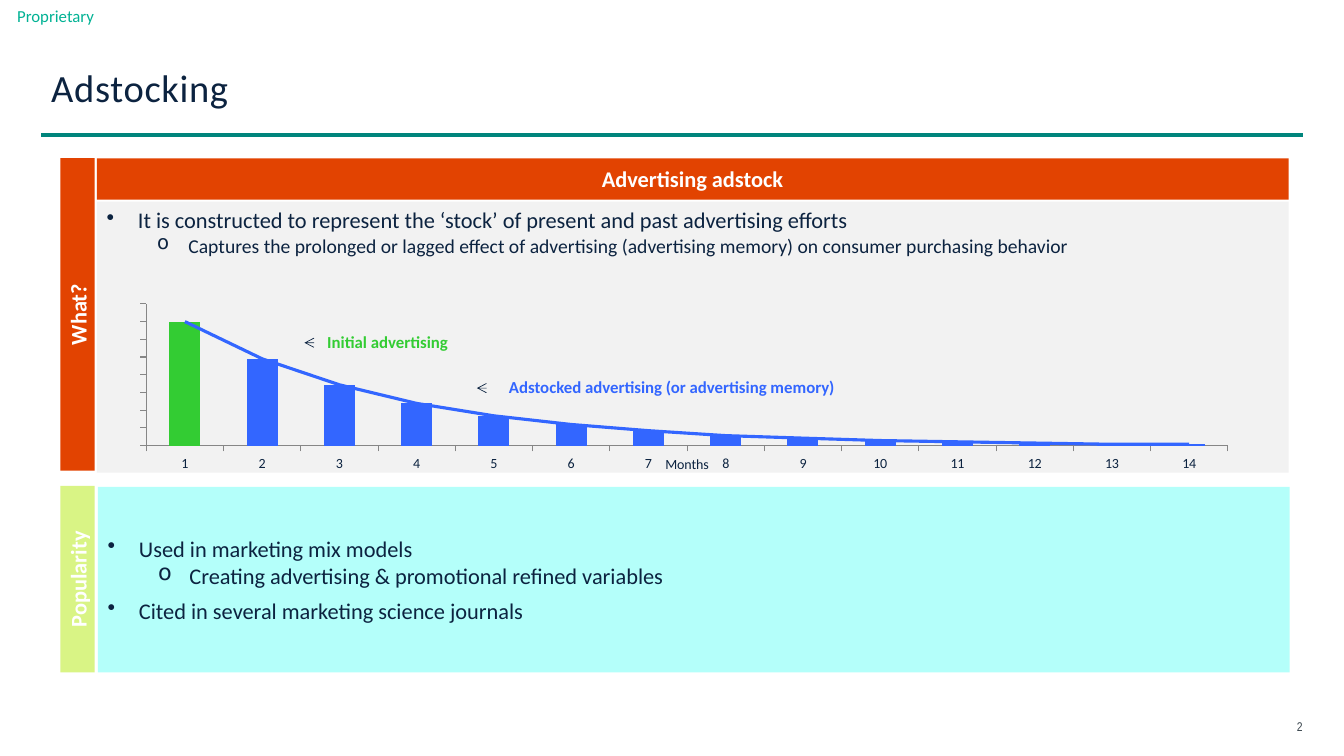
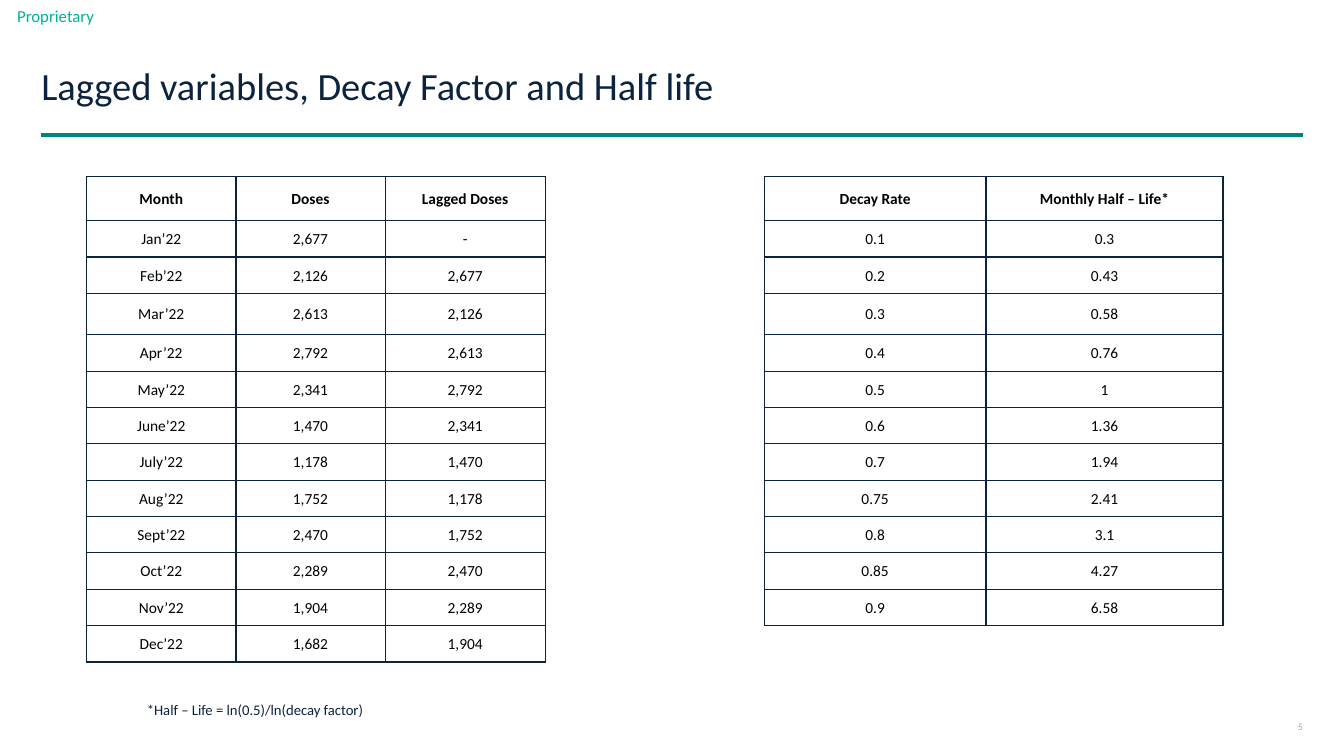
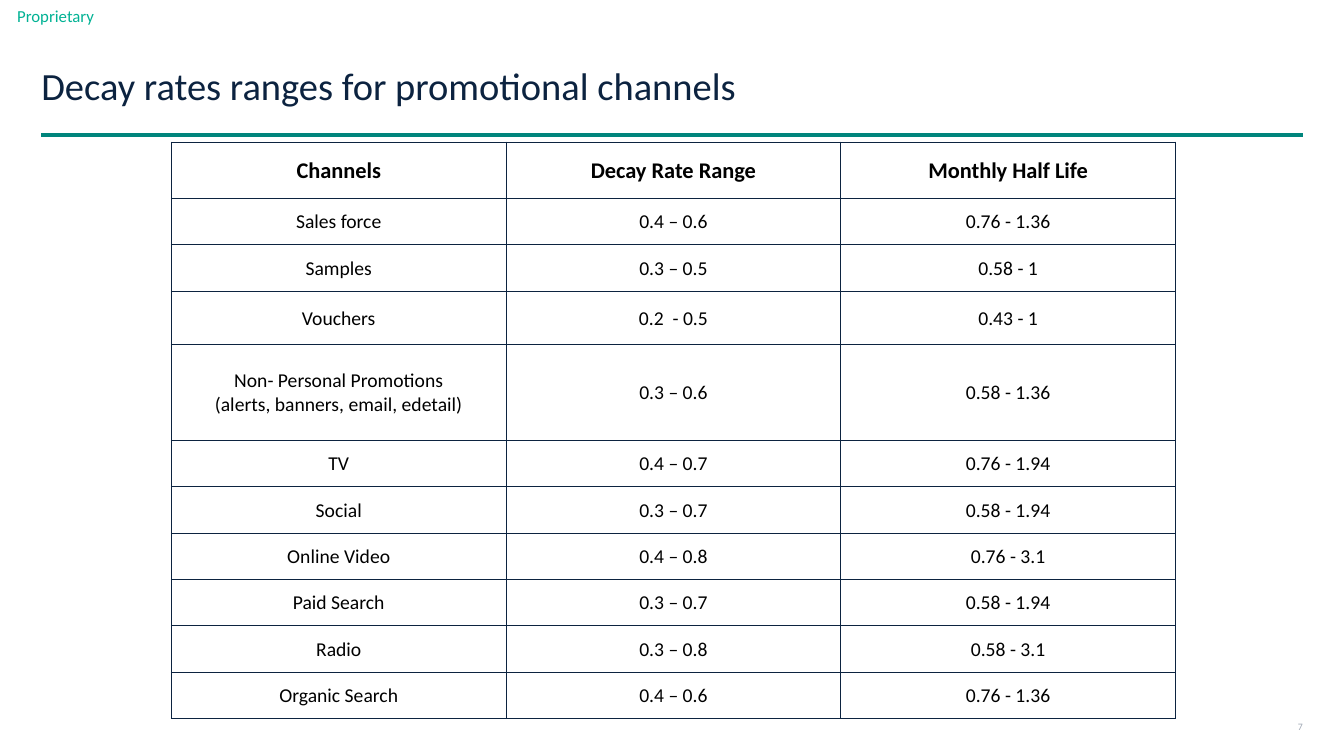
from copy import deepcopy

from lxml import etree
from pptx import Presentation
from pptx.chart.data import CategoryChartData
from pptx.dml.color import RGBColor
from pptx.enum.chart import XL_CHART_TYPE, XL_MARKER_STYLE, XL_TICK_LABEL_POSITION, XL_TICK_MARK
from pptx.enum.shapes import MSO_CONNECTOR, MSO_SHAPE
from pptx.enum.text import MSO_ANCHOR, PP_ALIGN
from pptx.oxml.ns import qn
from pptx.oxml.xmlchemy import OxmlElement
from pptx.util import Pt

STACKED = XL_CHART_TYPE.COLUMN_STACKED
NO_MARK = XL_MARKER_STYLE.NONE
NO_LABEL = XL_TICK_LABEL_POSITION.NONE
OUT, NO_TICK = XL_TICK_MARK.OUTSIDE, XL_TICK_MARK.NONE
LINE, RECT = MSO_CONNECTOR.STRAIGHT, MSO_SHAPE.RECTANGLE
TOP, MID = MSO_ANCHOR.TOP, MSO_ANCHOR.MIDDLE
LEFT, CENTER, RIGHT = PP_ALIGN.LEFT, PP_ALIGN.CENTER, PP_ALIGN.RIGHT
PX = 9144  # EMU: 100 px to the inch


class Theme:
    font, narrow = "Calibri", "Arial Narrow"
    navy, black, white = "0C2340", "000000", "FFFFFF"
    teal, mint, slate, mist = "00857C", "00B294", "37424A", "9EA7B3"
    orange, lime, aqua, pale = "E24301", "D9F485", "B4FFFA", "F2F2F2"
    blue, green, axis = "3366FF", "33CC33", "868686"
    title, body, sub, label, axis_size = 27.5, 16, 14, 12, 10
    cell, note, page, tiny = 11, 10.5, 9, 7


T = Theme

# Bullets: level, text, size, space before and after
WHAT = [
    (0, "It is constructed to represent the ‘stock’ of present and past advertising efforts", T.body, 0),
    (1, "Captures the prolonged or lagged effect of advertising (advertising memory) "
        "on consumer purchasing behavior", T.sub, 0),
]
USES = [
    (0, "Used in marketing mix models", T.body, 0),
    (1, "Creating advertising & promotional refined variables", T.body, 0),
    (0, "Cited in several marketing science journals", T.body, 6),
]
# Bands: text, box, fill, turned
BANDS = [
    ("What?", (60, 157, 34, 310), T.orange, True),
    ("Advertising adstock", (96, 157, 1182, 41), T.orange, False),
    ("Popularity", (60, 482, 34, 185), T.lime, True),
]
# Callouts: text, box, colour, arrow start, arrow end
CALLS = [
    ("Initial advertising", (305, 326, 159, 26), T.green, 307, 302),
    ("Adstocked advertising (or advertising memory)", (465, 371, 403, 26), T.blue, 476, 473),
]
STOCK = [100, 70, 49, 34, 24, 17, 12, 8, 6, 4, 3, 2, 1, 1]
STEP = 14.29  # value axis: eight steps, the first bar reaches seven

MONTHS = ["Jan’22", "Feb’22", "Mar’22", "Apr’22", "May’22", "June’22",
          "July’22", "Aug’22", "Sept’22", "Oct’22", "Nov’22", "Dec’22"]
DOSES = ["2,677", "2,126", "2,613", "2,792", "2,341", "1,470",
         "1,178", "1,752", "2,470", "2,289", "1,904", "1,682"]
LAGGED = [("Month", "Doses", "Lagged Doses"), *zip(MONTHS, DOSES, ["-"] + DOSES[:-1])]
DECAY = [
    ("Decay Rate", "Monthly Half – Life*"),
    ("0.1", "0.3"), ("0.2", "0.43"), ("0.3", "0.58"), ("0.4", "0.76"),
    ("0.5", "1"), ("0.6", "1.36"), ("0.7", "1.94"), ("0.75", "2.41"),
    ("0.8", "3.1"), ("0.85", "4.27"), ("0.9", "6.58"),
]
RANGES = [
    ("Channels", "Decay Rate Range", "Monthly Half Life"),
    ("Sales force", "0.4 – 0.6", "0.76 - 1.36"),
    ("Samples", "0.3 – 0.5", "0.58 - 1"),
    ("Vouchers", "0.2  - 0.5", "0.43 - 1"),
    ("Non- Personal Promotions\n(alerts, banners, email, edetail)", "0.3 – 0.6", "0.58 - 1.36"),
    ("TV", "0.4 – 0.7", "0.76 - 1.94"),
    ("Social", "0.3 – 0.7", "0.58 - 1.94"),
    ("Online Video", "0.4 – 0.8", "0.76 - 3.1"),
    ("Paid Search", "0.3 – 0.7", "0.58 - 1.94"),
    ("Radio", "0.3 – 0.8", "0.58 - 3.1"),
    ("Organic Search", "0.4 – 0.6", "0.76 - 1.36"),
]


def emu(*px):
    return [round(n * PX) for n in px]


def rgb(code):
    return RGBColor.from_string(code)


def style(font, size, color, bold=False, name=T.font):
    font.size, font.bold, font.name = Pt(size), bold, name
    font.color.rgb = rgb(color)


def setup(frame, anchor=MID, inset=(0, 0)):
    frame.word_wrap = True
    frame.vertical_anchor = anchor
    across, down = emu(*inset)
    frame.margin_left = frame.margin_right = across
    frame.margin_top = frame.margin_bottom = down


def track(para, points):
    """Space the letters of a paragraph."""
    for run in para.runs:
        run._r.get_or_add_rPr().set("spc", str(round(points * 100)))


def write(slide, text, box, size, color, align=LEFT, bold=False, name=T.font, inset=(0, 0)):
    frame = slide.shapes.add_textbox(*emu(*box)).text_frame
    setup(frame, inset=inset)
    para = frame.paragraphs[0]
    para.text, para.alignment = text, align
    style(para.font, size, color, bold, name)
    return para


def block(slide, box, fill):
    shape = slide.shapes.add_shape(RECT, *emu(*box))
    shape.shadow.inherit = False
    shape.fill.solid()
    shape.fill.fore_color.rgb = rgb(fill)
    shape.line.fill.background()
    return shape.text_frame


def line(slide, ends, color, width, arrow=False):
    link = slide.shapes.add_connector(LINE, *emu(*ends))
    link.line.color.rgb, link.line.width = rgb(color), Pt(width)
    if arrow:
        etree.SubElement(link.line._get_or_add_ln(), qn("a:tailEnd"), type="arrow")
    etree.SubElement(link._element.spPr, qn("a:effectLst"))


def start(deck, title, page, first=False):
    """Add a slide with the parts that all slides share."""
    slide = deck.slides.add_slide(deck.slide_layouts[6])
    line(slide, (41, 134, 1292, 134), T.teal, 2.5)
    write(slide, "Proprietary", (17, 0, 111, 32), T.label, T.mint)
    head = write(slide, title, (41, 43 if first else 41, 1251, 93), T.title, T.navy,
                 inset=(10, 5) if first else (0, 0))
    head.line_spacing = 0.9
    size, color, name = (T.page, T.slate, T.narrow) if first else (T.tiny, T.mist, T.font)
    foot = write(slide, page, (1267, 709, 25, 24), size, color, RIGHT, name=name)
    if first:
        track(head, 0.5)
        track(foot, 0.1)
    return slide


def panel(slide, box, fill, items, anchor):
    frame = block(slide, box, fill)
    setup(frame, anchor, (10, 5))
    for i, (level, text, size, gap) in enumerate(items):
        para = frame.paragraphs[0] if i == 0 else frame.add_paragraph()
        para.text, para.level, para.alignment = text, level, LEFT
        if gap:
            para.space_before = para.space_after = Pt(gap)
        props = para._p.get_or_add_pPr()
        left, hang = emu(31 + 50 * level, -31)
        props.set("marL", str(left))
        props.set("indent", str(hang))
        etree.SubElement(props, qn("a:buChar"), char="•o"[level])
        style(para.font, size, T.navy)


def band(slide, text, box, fill, turned):
    frame = block(slide, box, fill)
    setup(frame)
    if turned:
        frame._txBody.bodyPr.set("vert", "vert270")
    para = frame.paragraphs[0]
    para.text, para.alignment = text, CENTER
    style(para.font, T.body, T.white, True)


def add_line(chart):
    """Move the second series from the columns to a line plot."""
    bars = chart.plots[0]._element
    curve = OxmlElement("c:lineChart")
    etree.SubElement(curve, qn("c:grouping"), val="standard")
    etree.SubElement(curve, qn("c:varyColors"), val="0")
    ser = bars.findall(qn("c:ser"))[1]
    for flag in ser.findall(qn("c:invertIfNegative")):
        ser.remove(flag)
    curve.append(ser)
    etree.SubElement(curve, qn("c:marker"), val="1")
    for axis in bars.findall(qn("c:axId")):
        curve.append(deepcopy(axis))
    bars.addnext(curve)
    series = chart.plots[1].series[0]
    series.smooth = False
    series.marker.style = NO_MARK
    series.format.line.color.rgb = rgb(T.blue)
    series.format.line.width = Pt(2.25)


def place(chart, x, y, w, h):
    """Fix the inner plot area as shares of the chart."""
    area = chart._chartSpace.chart.plotArea
    for old in area.findall(qn("c:layout")):
        area.remove(old)
    layout = OxmlElement("c:layout")
    manual = etree.SubElement(layout, qn("c:manualLayout"))
    parts = [("layoutTarget", "inner"), ("xMode", "edge"), ("yMode", "edge"),
             ("x", x), ("y", y), ("w", w), ("h", h)]
    for tag, val in parts:
        etree.SubElement(manual, qn("c:" + tag), val=str(val))
    area.insert(0, layout)


def decay_chart(slide, box):
    data = CategoryChartData()
    data.categories = [str(n + 1) for n in range(len(STOCK))]
    for name in ("Series 1", "Series 2"):
        data.add_series(name, STOCK)
    chart = slide.shapes.add_chart(STACKED, *emu(*box), data).chart
    style(chart.font, T.axis_size, T.navy)
    chart.has_legend = chart.has_title = False
    bars = chart.plots[0]
    bars.gap_width, bars.overlap, bars.vary_by_categories = 150, 100, False
    series = bars.series[0]
    for part, color in ((series, T.blue), (series.points[0], T.green)):
        part.format.fill.solid()
        part.format.fill.fore_color.rgb = rgb(color)
    add_line(chart)
    place(chart, 0.01, 0, 0.97, 0.82)
    months, values = chart.category_axis, chart.value_axis
    for axis in (months, values):
        axis.has_major_gridlines = False
        axis.major_tick_mark, axis.minor_tick_mark = OUT, NO_TICK
        axis.format.line.color.rgb = rgb(T.axis)
        axis.format.line.width = Pt(0.75)
    values.tick_label_position = NO_LABEL
    values.minimum_scale, values.maximum_scale, values.major_unit = 0, 8 * STEP, STEP
    para = months.axis_title.text_frame.paragraphs[0]
    para.text = "Months"
    style(para.font, T.axis_size, T.navy)


def edge(cell):
    """Draw the four borders of a cell."""
    props = cell._tc.get_or_add_tcPr()
    for side in "LRTB":
        ln = etree.SubElement(props, qn("a:ln" + side), w=str(Pt(1)))
        fill = etree.SubElement(ln, qn("a:solidFill"))
        etree.SubElement(fill, qn("a:srgbClr"), val=T.navy)


def grid(slide, rows, spot, cols, height, fixed, sizes):
    """Add a table; rows not in fixed share the rest of the height."""
    rest = (height - sum(fixed.values())) / (len(rows) - len(fixed))
    box = emu(*spot, sum(cols), height)
    table = slide.shapes.add_table(len(rows), len(cols), *box).table
    table.first_row = table.horz_banding = False
    for col, width in zip(table.columns, emu(*cols)):
        col.width = width
    for r, row in enumerate(rows):
        table.rows[r].height = emu(fixed.get(r, rest))[0]
        for c, text in enumerate(row):
            cell = table.cell(r, c)
            cell.text, cell.vertical_anchor = text, MID
            cell.margin_left = cell.margin_right = cell.margin_top = PX
            cell.margin_bottom = 0
            edge(cell)
            cell.fill.background()
            for para in cell.text_frame.paragraphs:
                para.alignment = CENTER
                style(para.font, sizes[r > 0], T.black, r == 0)


def adstock(deck):
    slide = start(deck, "Adstocking", "2", first=True)
    panel(slide, (97, 483, 1182, 184), T.aqua, USES, MID)
    panel(slide, (96, 200, 1182, 269), T.pale, WHAT, TOP)
    decay_chart(slide, (134, 301, 1106, 172))
    for item in BANDS:
        band(slide, *item)
    for text, box, color, tail, tip in CALLS:
        mid = box[1] + box[3] // 2 + 1
        line(slide, (tail, mid, tip, mid), T.navy, 0.5, arrow=True)
        write(slide, text, box, T.label, color, CENTER, True)


def half_life(deck):
    slide = start(deck, "Lagged variables, Decay Factor and Half life", "5")
    fixed, sizes = {0: 44, 3: 41}, (T.cell, T.cell)
    grid(slide, DECAY, (758, 175), (220, 235), 446, fixed, sizes)
    write(slide, "*Half – Life = ln(0.5)/ln(decay factor)", (62, 686, 382, 35), T.note, T.navy, CENTER)
    grid(slide, LAGGED, (86, 175), (148, 148, 159), 482, fixed, sizes)


def channels(deck):
    slide = start(deck, "Decay rates ranges for promotional channels", "7")
    grid(slide, RANGES, (170, 141), (332, 332, 332), 572, {0: 56, 3: 53, 4: 95}, (T.body, T.sub))


def main():
    deck = Presentation()
    deck.slide_width, deck.slide_height = emu(1333, 750)
    for build in (adstock, half_life, channels):
        build(deck)
    deck.save("out.pptx")


if __name__ == "__main__":
    main()
